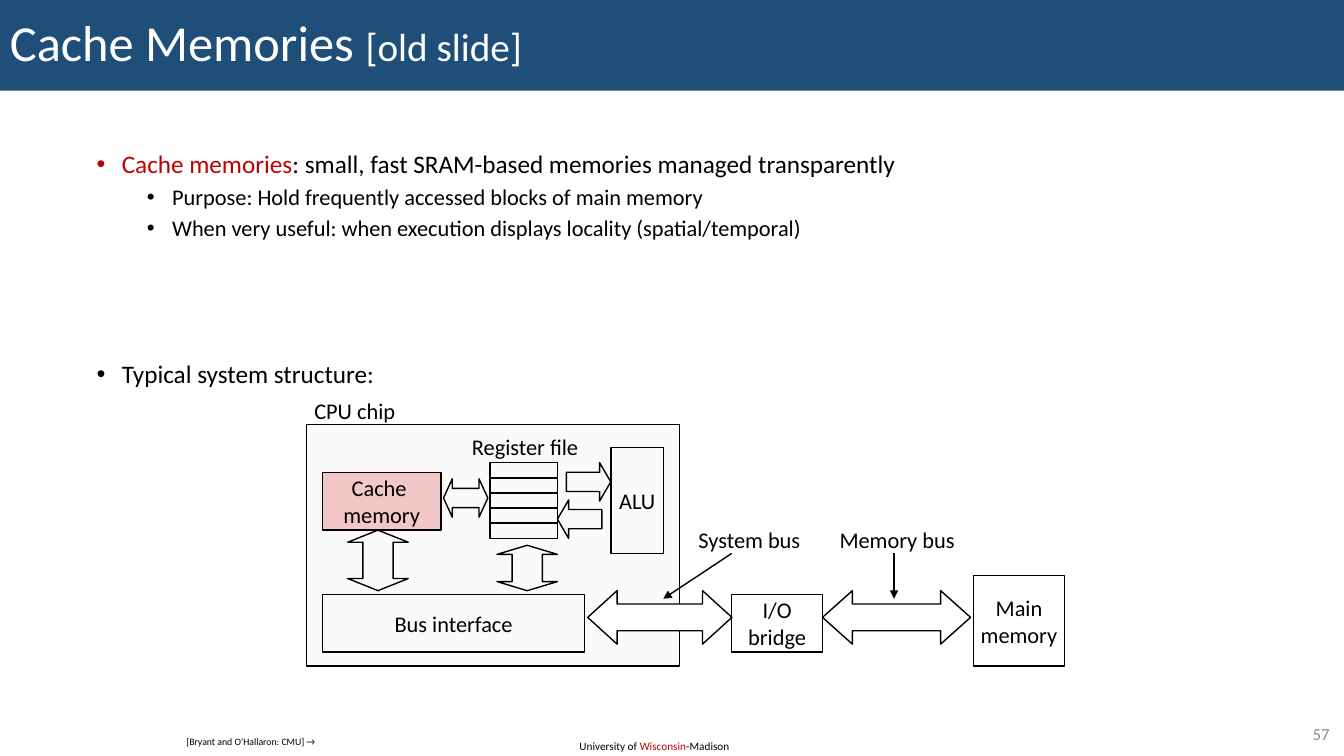
from dataclasses import dataclass
from typing import Optional

from lxml.etree import SubElement
from pptx import Presentation
from pptx.dml.color import RGBColor
from pptx.enum.shapes import MSO_CONNECTOR as Connector, MSO_SHAPE as Preset
from pptx.enum.text import MSO_ANCHOR as Anchor, PP_ALIGN as Align
from pptx.oxml.ns import qn
from pptx.util import Pt

COLORS = {
    "banner": "1F4E79",
    "white": "FFFFFF",
    "black": "000000",
    "red": "C00000",
    "chip": "FAFAFA",
    "cache": "F1C7C7",
    "number": "8C8C8C",
}
FONT = "Calibri"


@dataclass
class Span:
    text: str
    color: Optional[str] = None
    size: Optional[float] = None


@dataclass
class Bullet:
    spans: list[Span]
    size: float
    indent: float
    before: float


@dataclass
class Block:
    left: float
    top: float
    width: float
    height: float
    lines: tuple[str, ...] = ()
    fill: Optional[str] = None


@dataclass
class BusArrow:
    preset: Preset
    left: float
    top: float
    width: float
    height: float
    head: float
    fill: Optional[str] = None


@dataclass
class Pointer:
    start: tuple[float, float]
    end: tuple[float, float]


def rgb(name: str) -> RGBColor:
    return RGBColor.from_string(COLORS[name])


def add_spans(para, spans: list[Span], size: float, color: str = "black") -> None:
    para.font.name = FONT
    if not any(span.size for span in spans):
        para.font.size = Pt(size)
    if not any(span.color for span in spans):
        para.font.color.rgb = rgb(color)
    for span in spans:
        run = para.add_run()
        run.text = span.text
        if span.size:
            run.font.size = Pt(span.size)
        if span.color:
            run.font.color.rgb = rgb(span.color)


def add_preset(page, preset, left, top, width, height, fill=None, outlined=True):
    shape = page.shapes.add_shape(preset, Pt(left), Pt(top), Pt(width), Pt(height))
    shape.shadow.inherit = False
    if fill:
        shape.fill.solid()
        shape.fill.fore_color.rgb = rgb(fill)
    else:
        shape.fill.background()
    if outlined:
        shape.line.color.rgb = rgb("black")
        shape.line.width = Pt(1)
    else:
        shape.line.fill.background()
    return shape


def add_label(frame, lines: tuple[str, ...]) -> None:
    frame.word_wrap = False
    frame.vertical_anchor = Anchor.MIDDLE
    for index, line in enumerate(lines):
        para = frame.add_paragraph() if index else frame.paragraphs[0]
        para.alignment = Align.CENTER
        add_spans(para, [Span(line)], 16)


def add_block(page, block: Block) -> None:
    shape = add_preset(page, Preset.RECTANGLE, block.left, block.top,
                       block.width, block.height, block.fill)
    if block.lines:
        add_label(shape.text_frame, block.lines)


def add_arrow(page, arrow: BusArrow) -> None:
    shape = add_preset(page, arrow.preset, arrow.left, arrow.top,
                       arrow.width, arrow.height, arrow.fill)
    geometry = shape._element.spPr.find(qn("a:prstGeom"))
    for guides in geometry.findall(qn("a:avLst")):
        geometry.remove(guides)
    guides = SubElement(geometry, qn("a:avLst"))
    for name, share in (("adj1", 0.5), ("adj2", arrow.head)):
        SubElement(guides, qn("a:gd"), name=name, fmla=f"val {round(share * 100000)}")


def add_pointer(page, pointer: Pointer) -> None:
    line = page.shapes.add_connector(Connector.STRAIGHT, *map(Pt, pointer.start + pointer.end))
    line.line.color.rgb = rgb("black")
    line.line.width = Pt(1)
    outline = line._element.spPr.find(qn("a:ln"))
    SubElement(outline, qn("a:tailEnd"), type="triangle")
    SubElement(line._element.spPr, qn("a:effectLst"))


def add_text(page, left, top, width, height):
    frame = page.shapes.add_textbox(Pt(left), Pt(top), Pt(width), Pt(height)).text_frame
    frame.word_wrap = True
    return frame


def add_bullet(para, bullet: Bullet) -> None:
    para.line_spacing = 0.9
    if bullet.before:
        para.space_before = Pt(bullet.before)
    properties = para._p.get_or_add_pPr()
    properties.set("marL", str(Pt(bullet.indent)))
    properties.set("indent", str(Pt(-18)))
    tint = SubElement(properties, qn("a:buClr"))
    SubElement(tint, qn("a:srgbClr"), val=COLORS[bullet.spans[0].color or "black"])
    SubElement(properties, qn("a:buFont"), typeface="Arial")
    SubElement(properties, qn("a:buChar"), char="•")
    add_spans(para, bullet.spans, bullet.size)


BULLETS = [
    Bullet([Span("Cache memories", "red"),
            Span(": small, fast SRAM-based memories managed transparently", "black")], 18, 18, 0),
    Bullet([Span("Purpose: Hold frequently accessed blocks of main memory")], 16, 54, 5),
    Bullet([Span("When very useful: when execution displays locality (spatial/temporal)")], 16, 54, 5),
    Bullet([Span("Typical system structure:")], 18, 18, 86),
]
REGISTERS = [Block(349.9, 330.5 + 10.8 * row, 48.5, 10.8) for row in range(5)]
BLOCKS = [
    Block(218.9, 303.1, 266.4, 172.8, fill="chip"),
    Block(695.5, 411.1, 64.8, 64.8, ("Main", "memory")),
    Block(522.7, 424.8, 64.8, 41, ("I/O", "bridge")),
    Block(230.4, 424.8, 187.2, 41, ("Bus interface",)),
    *REGISTERS,
    Block(436.3, 319.7, 37.8, 75.6, ("ALU",)),
    Block(230.4, 337.7, 84.5, 41, ("Cache ", "memory"), "cache"),
]
ARROWS = [
    BusArrow(Preset.LEFT_RIGHT_ARROW, 587.5, 421.9, 105.8, 38.2, 0.56),
    BusArrow(Preset.RIGHT_ARROW, 404.6, 330.5, 31.7, 27.4, 0.29),
    BusArrow(Preset.LEFT_ARROW, 398.2, 357.1, 31.7, 27.4, 0.29),
    BusArrow(Preset.UP_DOWN_ARROW, 355, 389.5, 43.2, 32.4, 0.2),
    BusArrow(Preset.UP_DOWN_ARROW, 248.4, 378.7, 43.2, 43.2, 0.2),
    BusArrow(Preset.LEFT_RIGHT_ARROW, 316.8, 342, 31.7, 27.4, 0.23),
    BusArrow(Preset.LEFT_RIGHT_ARROW, 419.8, 421.9, 103, 38.2, 0.55, "white"),
]
LABELS = [
    Block(328.3, 306, 93.6, 26.6, ("Register file",)),
    Block(216.7, 280.1, 73.4, 26.6, ("CPU chip",)),
    Block(490.3, 372.2, 90, 26.6, ("System bus",)),
    Block(591.1, 372.2, 99.4, 26.6, ("Memory bus",)),
]
POINTERS = [
    Pointer((522.7, 395.3), (473.8, 427.7)),
    Pointer((638.6, 395.3), (638.6, 427.7)),
]


def main() -> None:
    deck = Presentation()
    deck.slide_width, deck.slide_height = Pt(960), Pt(540)
    page = deck.slides.add_slide(deck.slide_layouts[6])

    footer = add_text(page, 406.8, 524.2, 123.8, 17.3)
    add_spans(footer.paragraphs[0], [Span("University of ", "black"), Span("Wisconsin", "red"),
                                     Span("-Madison", "black")], 8)

    banner = add_preset(page, Preset.RECTANGLE, 0, 0, 960, 64.8, "banner", outlined=False)
    banner.text_frame.vertical_anchor = Anchor.MIDDLE
    title = banner.text_frame.paragraphs[0]
    title.alignment = Align.LEFT
    title.line_spacing = 0.9
    add_spans(title, [Span("Cache Memories ", size=36), Span("[old slide]", size=28)], 36, "white")

    body = add_text(page, 61.9, 105.1, 689.8, 374.4)
    for index, bullet in enumerate(BULLETS):
        add_bullet(body.add_paragraph() if index else body.paragraphs[0], bullet)

    for block in BLOCKS:
        add_block(page, block)
    for arrow in ARROWS:
        add_arrow(page, arrow)
    for label in LABELS:
        add_label(add_text(page, label.left, label.top, label.width, label.height), label.lines)
    for pointer in POINTERS:
        add_pointer(page, pointer)

    credit = add_preset(page, Preset.RECTANGLE, 126, 522, 108, 15.8, "white", outlined=False)
    credit.text_frame.vertical_anchor = Anchor.TOP
    credit.text_frame.paragraphs[0].alignment = Align.LEFT
    add_spans(credit.text_frame.paragraphs[0], [Span("[Bryant and O‘Hallaron: CMU] →")], 7)

    number = add_text(page, 902.2, 513.4, 54.7, 20.9)
    number.vertical_anchor = Anchor.MIDDLE
    number.paragraphs[0].alignment = Align.RIGHT
    add_spans(number.paragraphs[0], [Span("57")], 12, "number")

    deck.save("out.pptx")


if __name__ == "__main__":
    main()
